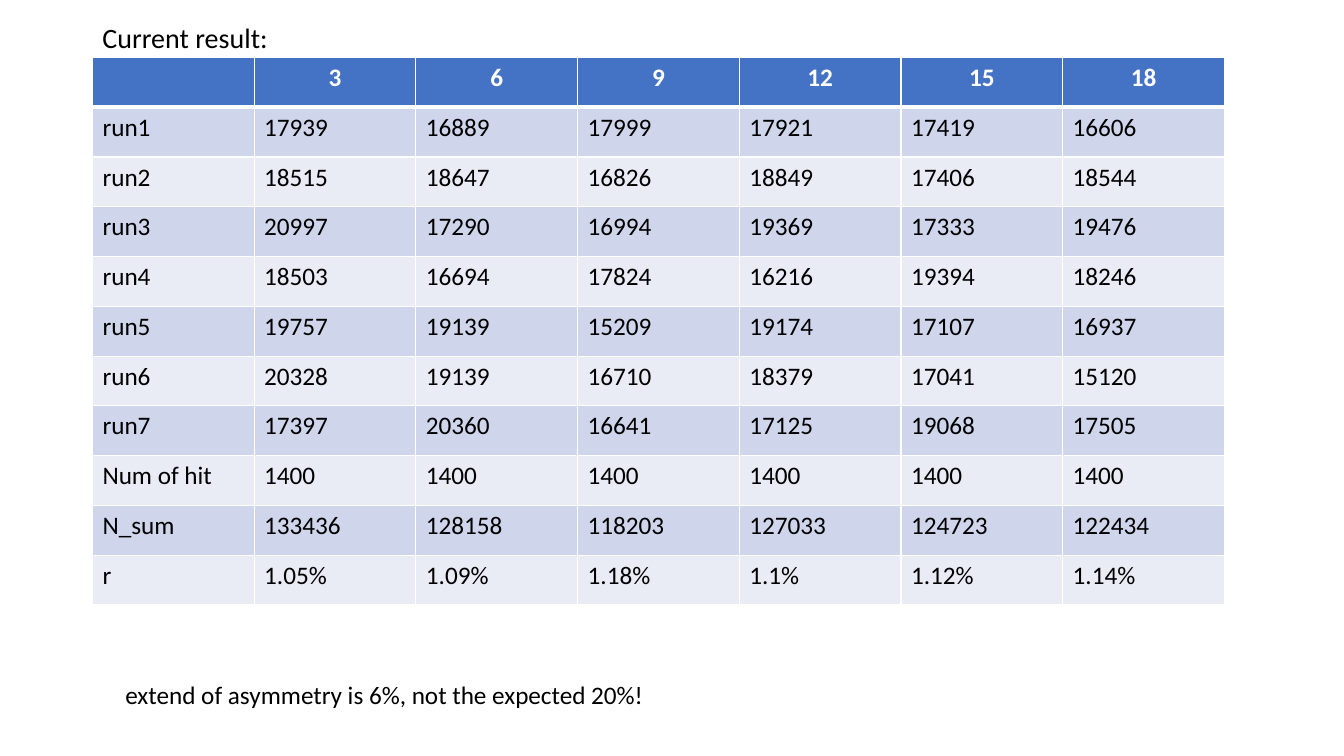
from lxml.etree import SubElement
from pptx import Presentation
from pptx.dml.color import RGBColor
from pptx.enum.text import MSO_AUTO_SIZE, PP_ALIGN
from pptx.oxml.ns import qn
from pptx.util import Cm, Pt


def style(p, size, color="000000", bold=False):
    for r in p.runs:
        r.font.name = "Calibri"
        r.font.size = Pt(size)
        r.font.bold = bold
        r.font.color.rgb = RGBColor.from_string(color)


def set_borders(cell, bottom):
    """Draw white cell borders, 1 pt wide except for the bottom one."""
    tcPr = cell._tc.get_or_add_tcPr()
    for i, (tag, width) in enumerate([("a:lnL", 1), ("a:lnR", 1), ("a:lnT", 1), ("a:lnB", bottom)]):
        ln = tcPr.makeelement(qn(tag), {"w": str(Pt(width))})
        SubElement(SubElement(ln, qn("a:solidFill")), qn("a:srgbClr"), val="FFFFFF")
        tcPr.insert(i, ln)


prs = Presentation()
prs.slide_width = Cm(33.87)
prs.slide_height = Cm(19.05)
s = prs.slides.add_slide(prs.slide_layouts[6])

# Heading
heading = s.shapes.add_textbox(Cm(2.33), Cm(0.48), Cm(29.21), Cm(17.58))
tf = heading.text_frame
tf.word_wrap = True
tf.text = "Current result:"
p = tf.paragraphs[0]
p.line_spacing = 0.9
p.space_before = Pt(10)
style(p, 20)

# Result table
rows = [
    ["", "3", "6", "9", "12", "15", "18"],
    ["run1", "17939", "16889", "17999", "17921", "17419", "16606"],
    ["run2", "18515", "18647", "16826", "18849", "17406", "18544"],
    ["run3", "20997", "17290", "16994", "19369", "17333", "19476"],
    ["run4", "18503", "16694", "17824", "16216", "19394", "18246"],
    ["run5", "19757", "19139", "15209", "19174", "17107", "16937"],
    ["run6", "20328", "19139", "16710", "18379", "17041", "15120"],
    ["run7", "17397", "20360", "16641", "17125", "19068", "17505"],
    ["Num of hit"] + ["1400"] * 6,
    ["N_sum", "133436", "128158", "118203", "127033", "124723", "122434"],
    ["r", "1.05%", "1.09%", "1.18%", "1.1%", "1.12%", "1.14%"],
]
table = s.shapes.add_table(len(rows), len(rows[0]), Cm(2.33), Cm(1.45), Cm(28.53), Cm(13.8)).table
for i, row in enumerate(rows):
    header = i == 0
    fill = "4472C4" if header else ("E9EBF5", "CFD5EA")[i % 2]
    for j, text in enumerate(row):
        cell = table.cell(i, j)
        cell.fill.solid()
        cell.fill.fore_color.rgb = RGBColor.from_string(fill)
        set_borders(cell, 3 if header else 1)
        cell.text_frame.text = text
        p = cell.text_frame.paragraphs[0]
        if header:
            p.alignment = PP_ALIGN.CENTER
        style(p, 18, "FFFFFF" if header else "000000", header)

# Conclusion
conclusion = s.shapes.add_textbox(Cm(2.91), Cm(16.99), Cm(13.72), Cm(1.03))
tf = conclusion.text_frame
tf.word_wrap = False
tf.auto_size = MSO_AUTO_SIZE.SHAPE_TO_FIT_TEXT
tf.text = "extend of asymmetry is 6%, not the expected 20%!"
style(tf.paragraphs[0], 18)

prs.save("out.pptx")
